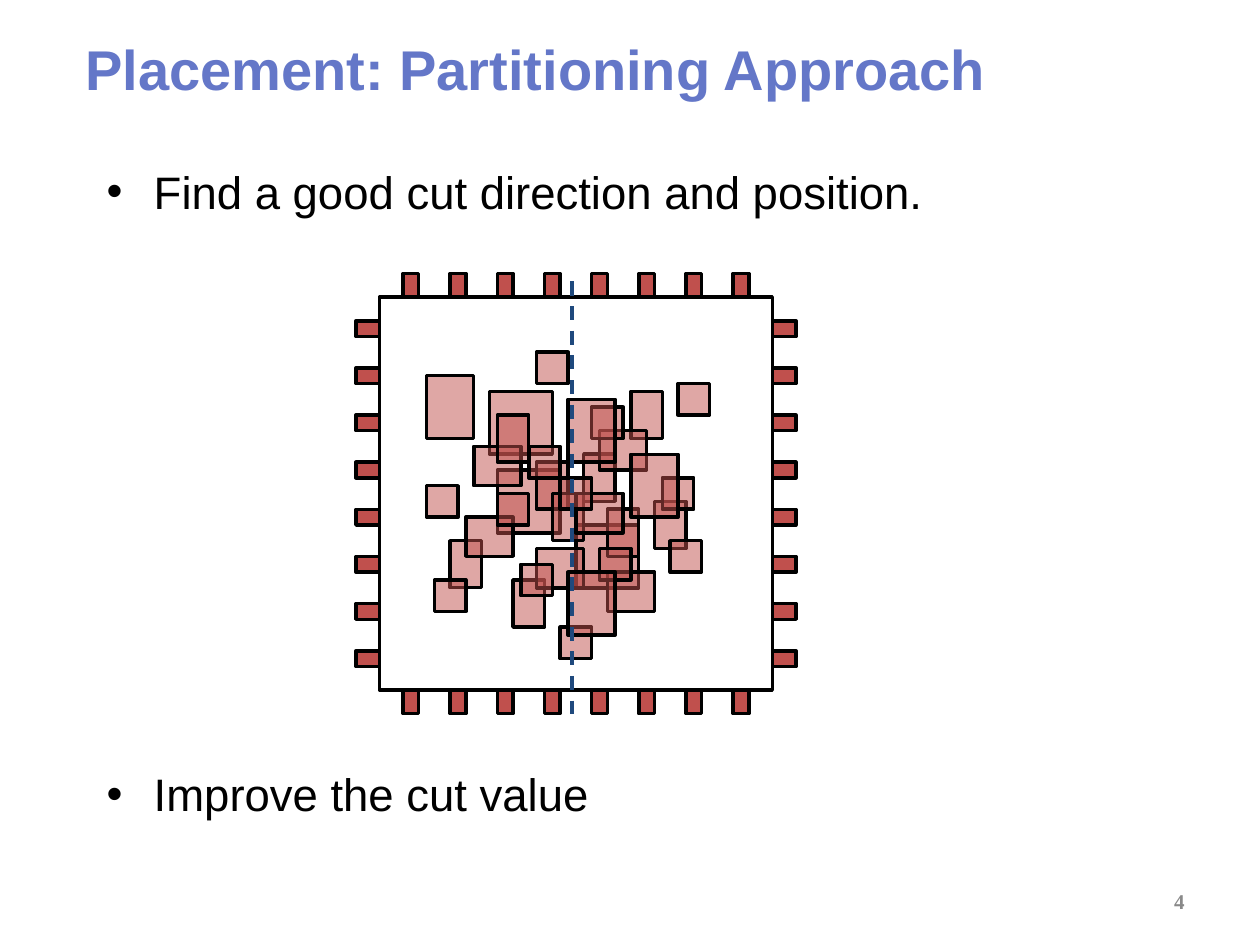
from dataclasses import dataclass

from lxml.etree import SubElement
from pptx import Presentation
from pptx.dml.color import RGBColor
from pptx.enum.dml import MSO_LINE
from pptx.enum.shapes import MSO_CONNECTOR, MSO_SHAPE
from pptx.enum.text import MSO_ANCHOR, PP_ALIGN
from pptx.oxml.ns import qn
from pptx.util import Cm, Pt


@dataclass(frozen=True)
class Theme:
    title: RGBColor = RGBColor(0x64, 0x77, 0xC8)
    text: RGBColor = RGBColor(0, 0, 0)
    muted: RGBColor = RGBColor(0x89, 0x89, 0x89)
    block: RGBColor = RGBColor(0xC0, 0x50, 0x4D)
    cut: RGBColor = RGBColor(0x1F, 0x49, 0x7D)
    title_size: int = 32
    body_size: int = 26
    number_size: int = 12
    line_width: int = 2


# The chip drawing sits on a grid of 50 x 50 units.
CHIP_LEFT, CHIP_TOP, CHIP_SIDE = 7.65, 5.99, 7.92
GRID = 50
UNIT = CHIP_SIDE / GRID
PIN_COUNT, PIN_START, PIN_STEP = 8, 3, 6
PIN_WIDTH, PIN_LENGTH = 2, 3

# Cells in drawing order: size in units, then the left and top of each cell.
CELLS = [
    ((8, 8), [(14, 12), (25, 29), (15, 22)]),
    ((4, 6), [(29, 27), (20, 21), (22, 25), (26, 20), (32, 12), (17, 36),
              (9, 31), (35, 26)]),
    ((6, 5), [(28, 17), (29, 35), (11, 28), (12, 19), (25, 25), (20, 32)]),
    ((4, 4), [(23, 42), (15, 25), (19, 19), (23, 23), (27, 14), (20, 7),
              (36, 23), (28, 32), (18, 34), (6, 24)]),
    ((6, 8), [(6, 10), (24, 13), (24, 35), (32, 20)]),
    ((4, 4), [(7, 36)]),
    ((4, 6), [(15, 15)]),
    ((4, 4), [(38, 11), (37, 31)]),
]


def set_all(target, values):
    for name, value in values.items():
        setattr(target, name, value)


class SlideBuilder:
    def __init__(self, s, theme):
        self.s, self.theme = s, theme
        self.group = s.shapes.add_group_shape()

    def text(self, box, lines, size, color, font="Arial", bold=False,
             align=PP_ALIGN.LEFT, anchor=MSO_ANCHOR.MIDDLE, bullet=False, gap=0):
        tf = self.s.shapes.add_textbox(*map(Cm, box)).text_frame
        set_all(tf, {"word_wrap": True, "vertical_anchor": anchor})
        for i, line in enumerate(lines):
            p = tf.add_paragraph() if i else tf.paragraphs[0]
            p.alignment = align
            if i:
                p.space_before = Pt(gap)
            if bullet:
                self.bullet(p)
            r = p.add_run()
            r.text = line
            set_all(r.font, {"name": font, "size": Pt(size), "bold": bold})
            r.font.color.rgb = color

    def bullet(self, p):
        pPr = p._p.get_or_add_pPr()
        pPr.set("marL", str(Cm(0.95)))
        pPr.set("indent", str(Cm(-0.95)))
        SubElement(pPr, qn("a:buFont"), typeface="Arial")
        SubElement(pPr, qn("a:buChar"), char="•")

    def rect(self, x, y, w, h, fill=None, alpha=None, rotation=0):
        """Add a rectangle to the chip; place and size are in grid units."""
        sp = self.group.shapes.add_shape(
            MSO_SHAPE.RECTANGLE, Cm(CHIP_LEFT + x * UNIT),
            Cm(CHIP_TOP + y * UNIT), Cm(w * UNIT), Cm(h * UNIT))
        sp.rotation = rotation
        sp.shadow.inherit = False
        sp.line.color.rgb = self.theme.text
        sp.line.width = Pt(self.theme.line_width)
        if fill is None:
            sp.fill.background()
            return
        sp.fill.solid()
        sp.fill.fore_color.rgb = fill
        if alpha is not None:
            color = sp.fill._xPr.find(qn("a:solidFill"))[0]
            SubElement(color, qn("a:alpha"), val=str(alpha * 1000))

    def pin(self, x, y, rotation=0):
        self.rect(x, y, PIN_WIDTH, PIN_LENGTH, self.theme.block,
                  rotation=rotation)

    def cut_line(self, x, top, bottom):
        px = Cm(CHIP_LEFT + x * UNIT)
        line = self.group.shapes.add_connector(
            MSO_CONNECTOR.STRAIGHT, px, Cm(CHIP_TOP + top * UNIT),
            px, Cm(CHIP_TOP + bottom * UNIT))
        line.line.color.rgb = self.theme.cut
        set_all(line.line, {"width": Pt(self.theme.line_width),
                            "dash_style": MSO_LINE.DASH})
        SubElement(line._element.spPr, qn("a:effectLst"))


def draw_chip(b):
    b.rect(0, 0, GRID, GRID)
    for (w, h), places in CELLS:
        for x, y in places:
            b.rect(x, y, w, h, b.theme.block, alpha=50)

    offsets = [PIN_START + PIN_STEP * i for i in range(PIN_COUNT)]
    for y in (GRID, -PIN_LENGTH):
        for x in offsets:
            b.pin(x, y)
    # A turned pin keeps its centre, so its unturned box is shifted.
    shift = (PIN_LENGTH - PIN_WIDTH) / 2
    for x in (-PIN_LENGTH, GRID):
        for y in reversed(offsets):
            b.pin(x + shift, y - shift, rotation=270)
    b.cut_line(24.5, -2, 53)


def main():
    prs = Presentation()
    set_all(prs, {"slide_width": Cm(25.4), "slide_height": Cm(19.05)})
    theme = Theme()
    b = SlideBuilder(prs.slides.add_slide(prs.slide_layouts[6]), theme)
    b.text((18.21, 17.65, 5.92, 1.02), ["4"], theme.number_size, theme.muted,
           font="Times New Roman", bold=True, align=PP_ALIGN.RIGHT)
    b.text((1.47, 0.64, 22.66, 1.47), ["Placement: Partitioning Approach"],
           theme.title_size, theme.title, bold=True)
    b.text((1.9, 3.18, 22.02, 13.77),
           ["Find a good cut direction and position.", "Improve the cut value"],
           theme.body_size, theme.text, anchor=MSO_ANCHOR.TOP, bullet=True,
           gap=313)
    draw_chip(b)
    prs.save("out.pptx")


if __name__ == "__main__":
    main()
